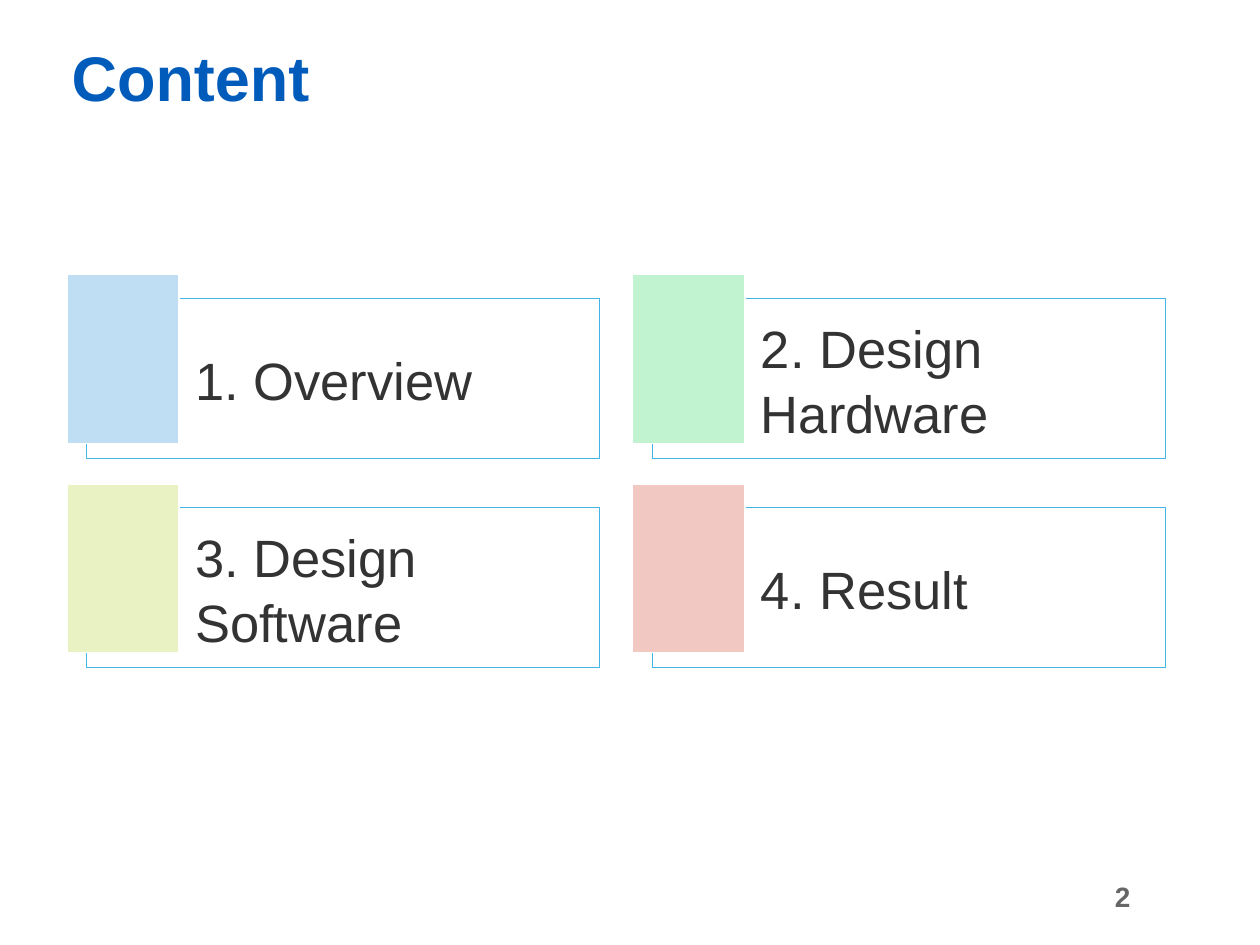
from dataclasses import dataclass

from lxml import etree
from pptx import Presentation
from pptx.dml.color import RGBColor
from pptx.enum import shapes, text
from pptx.oxml.ns import qn
from pptx.util import Inches, Pt


@dataclass(frozen=True)
class Theme:
    font: str = "Arial"
    title: str = "005BBB"
    body: str = "333333"
    muted: str = "666666"
    white: str = "FFFFFF"
    border: str = "41B6E6"
    title_size: int = 36
    item_size: int = 30
    number_size: int = 16


THEME = Theme()

# Agenda entries in reading order, with the colour of each block
ITEMS = [
    ("1. Overview", "C0DEF3"),
    ("2. Design Hardware", "C1F3D0"),
    ("3. Design Software", "E8F2C2"),
    ("4. Result", "F2C8C3"),
]
COLUMNS = 2
GRID_LEFT, GRID_TOP = 0.53, 2.18
COLUMN_STEP, ROW_STEP = 4.49, 1.66
CARD_OFFSET_X, CARD_OFFSET_Y = 0.16, 0.19


def add_rectangle(slide, left, top, width, height, fill, line, line_width, opacity=100):
    shape = slide.shapes.add_shape(
        shapes.MSO_SHAPE.RECTANGLE,
        Inches(left), Inches(top), Inches(width), Inches(height))
    shape.shadow.inherit = False
    shape.fill.solid()
    shape.fill.fore_color.rgb = RGBColor.from_string(fill)
    shape.line.color.rgb = RGBColor.from_string(line)
    shape.line.width = Pt(line_width)
    if opacity < 100:
        color = shape.fill._xPr.find(qn("a:solidFill"))[0]
        etree.SubElement(color, qn("a:alpha")).set("val", str(opacity * 1000))
    return shape


def write_text(shape, content, *, size, color, bold=False, align=text.PP_ALIGN.LEFT,
               anchor=text.MSO_ANCHOR.MIDDLE, spacing=1.0, insets=(0.1, 0.05, 0.1, 0.05)):
    frame = shape.text_frame
    frame.word_wrap = True
    frame.vertical_anchor = anchor
    (frame.margin_left, frame.margin_top,
     frame.margin_right, frame.margin_bottom) = map(Inches, insets)
    paragraph = frame.paragraphs[0]
    paragraph.alignment = align
    paragraph.line_spacing = spacing
    run = paragraph.add_run()
    run.text = content
    run.font.name = THEME.font
    run.font.size = Pt(size)
    run.font.bold = bold
    run.font.color.rgb = RGBColor.from_string(color)


def add_text(slide, content, left, top, width, height, **text_format):
    box = slide.shapes.add_textbox(
        Inches(left), Inches(top), Inches(width), Inches(height))
    write_text(box, content, **text_format)


def add_agenda_item(slide, index, label, block_color):
    row, column = divmod(index, COLUMNS)
    left = GRID_LEFT + column * COLUMN_STEP
    top = GRID_TOP + row * ROW_STEP
    card = add_rectangle(slide, left + CARD_OFFSET_X, top + CARD_OFFSET_Y, 4.07, 1.27,
                         THEME.white, THEME.border, 0.5, opacity=40)
    write_text(card, label, size=THEME.item_size, color=THEME.body,
               spacing=1.04, insets=(0.86, 0.12, 0.12, 0.12))
    add_rectangle(slide, left, top, 0.89, 1.34, block_color, THEME.white, 1)


def main():
    presentation = Presentation()
    presentation.slide_width = Inches(10)
    presentation.slide_height = Inches(7.5)
    slide = presentation.slides.add_slide(presentation.slide_layouts[6])

    # Slide number and title
    add_text(slide, "2", 5.69, 6.91, 3.38, 0.4, size=THEME.number_size,
             color=THEME.muted, bold=True, align=text.PP_ALIGN.RIGHT)
    add_text(slide, "Content", 0.47, 0.31, 7.75, 0.65, size=THEME.title_size,
             color=THEME.title, bold=True, anchor=text.MSO_ANCHOR.BOTTOM, spacing=0.9)

    # Agenda grid
    for index, (label, block_color) in enumerate(ITEMS):
        add_agenda_item(slide, index, label, block_color)

    presentation.save("out.pptx")


if __name__ == "__main__":
    main()
